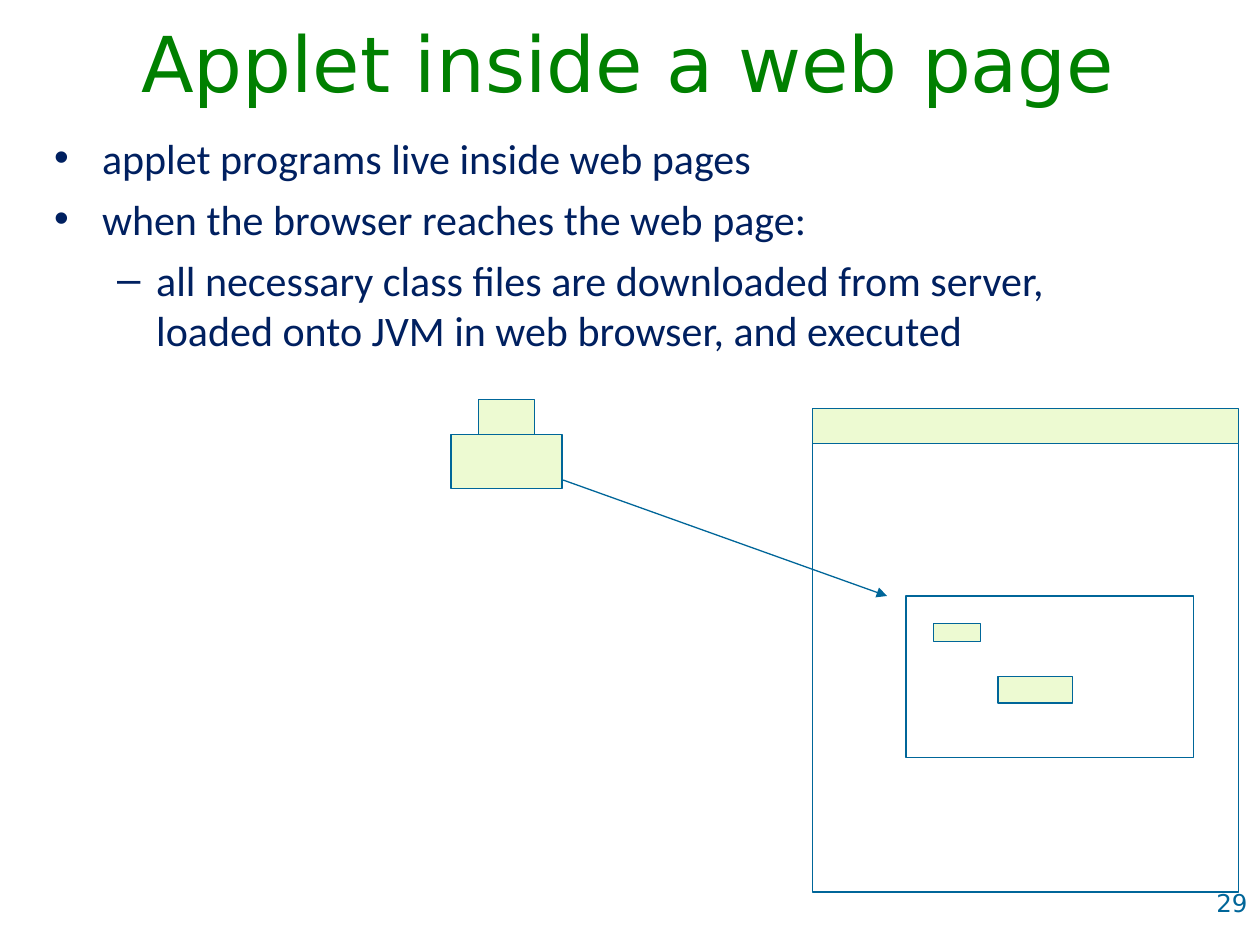
"""Build a slide on how an applet runs inside a web page."""
from lxml.etree import SubElement
from pptx import Presentation
from pptx.dml.color import RGBColor
from pptx.enum.shapes import MSO_CONNECTOR as LINK, MSO_SHAPE as SHAPE
from pptx.enum.text import MSO_ANCHOR as ANCHOR, MSO_AUTO_SIZE as FIT, PP_ALIGN as ALIGN
from pptx.oxml.ns import qn
from pptx.util import Inches, Pt

GREEN = RGBColor(0x00, 0x80, 0x00)
NAVY = RGBColor(0x00, 0x20, 0x60)
BLUE = RGBColor(0x00, 0x66, 0x99)
LIME = RGBColor(0xED, 0xFA, 0xD2)
WHITE = RGBColor(0xFF, 0xFF, 0xFF)
SANS, BODY, MARK = "DejaVu Sans", "Calibri", "Arial"

TITLE = "Applet inside a web page"
NUMBER = "29"
POINTS = [
    (0, "applet programs live inside web pages"),
    (0, "when the browser reaches the web page:"),
    (1, "all necessary class files are downloaded from server, "
        "loaded onto JVM in web browser, and executed"),
]
LEVELS = [("•", 0.38, -0.38), ("–", 0.81, -0.31)]
BOXES = [
    (6.45, 3.24, 3.38, 0.28, LIME),
    (3.58, 3.45, 0.88, 0.43, LIME),
    (3.8, 3.17, 0.44, 0.28, LIME),
    (6.45, 3.52, 3.38, 3.56, WHITE),
    (7.19, 4.73, 2.28, 1.28, WHITE),
    (7.41, 4.95, 0.37, 0.14, LIME),
    (7.92, 5.37, 0.59, 0.21, LIME),
]
ARROW = (4.47, 3.81, 7.04, 4.73)


def place(shape, *box):
    shape.left, shape.top, shape.width, shape.height = map(Inches, box)


def bullet(para, level):
    mark, left, hang = LEVELS[level]
    para.level = level
    props = para._p.get_or_add_pPr()
    props.set("marL", str(Inches(left)))
    props.set("indent", str(Inches(hang)))
    tint = SubElement(props, qn("a:buClr"))
    SubElement(tint, qn("a:srgbClr"), val=str(NAVY))
    SubElement(props, qn("a:buFont"), typeface=MARK)
    SubElement(props, qn("a:buChar"), char=mark)


def write(para, text, *, size, color, font=SANS, align=ALIGN.LEFT,
          before=0, spacing=1.0, level=None):
    if level is not None:
        bullet(para, level)
    para.alignment = align
    para.space_before = Pt(before)
    para.line_spacing = spacing
    run = para.add_run()
    run.text = text
    run.font.name = font
    run.font.size = Pt(size)
    run.font.color.rgb = color


def frame_of(shape, anchor):
    frame = shape.text_frame
    frame.word_wrap = True
    frame.auto_size = FIT.NONE
    frame.vertical_anchor = anchor
    return frame


def draw(shapes):
    for *box, fill in BOXES:
        rect = shapes.add_shape(SHAPE.RECTANGLE, *map(Inches, box))
        rect.shadow.inherit = False
        rect.fill.solid()
        rect.fill.fore_color.rgb = fill
        rect.line.color.rgb = BLUE
        rect.line.width = Pt(0.75)
    arrow = shapes.add_connector(LINK.STRAIGHT, *map(Inches, ARROW))
    arrow.line.color.rgb = BLUE
    arrow.line.width = Pt(0.75)
    SubElement(arrow.line._get_or_add_ln(), qn("a:tailEnd"), type="triangle")
    SubElement(arrow._element.spPr, qn("a:effectLst"))


def main():
    deck = Presentation()
    deck.slide_width, deck.slide_height = Inches(10), Inches(7.5)
    slide = deck.slides.add_slide(deck.slide_layouts[1])
    title, body = slide.placeholders

    place(title, 0.48, 0.12, 9.02, 0.8)
    write(frame_of(title, ANCHOR.BOTTOM).paragraphs[0], TITLE, size=44,
          color=GREEN, align=ALIGN.CENTER, spacing=0.9)

    place(body, 0.33, 1, 9, 4.87)
    frame = frame_of(body, ANCHOR.TOP)
    for i, (level, text) in enumerate(POINTS):
        para = frame.add_paragraph() if i else frame.paragraphs[0]
        write(para, text, size=24, color=NAVY, font=BODY,
              before=6 if i else 0, level=level)

    number = slide.shapes.add_textbox(*map(Inches, (8.5, 7, 1.5, 0.5)))
    write(frame_of(number, ANCHOR.TOP).paragraphs[0], NUMBER, size=14,
          color=BLUE, align=ALIGN.RIGHT)

    draw(slide.shapes)
    deck.save("out.pptx")


if __name__ == "__main__":
    main()
